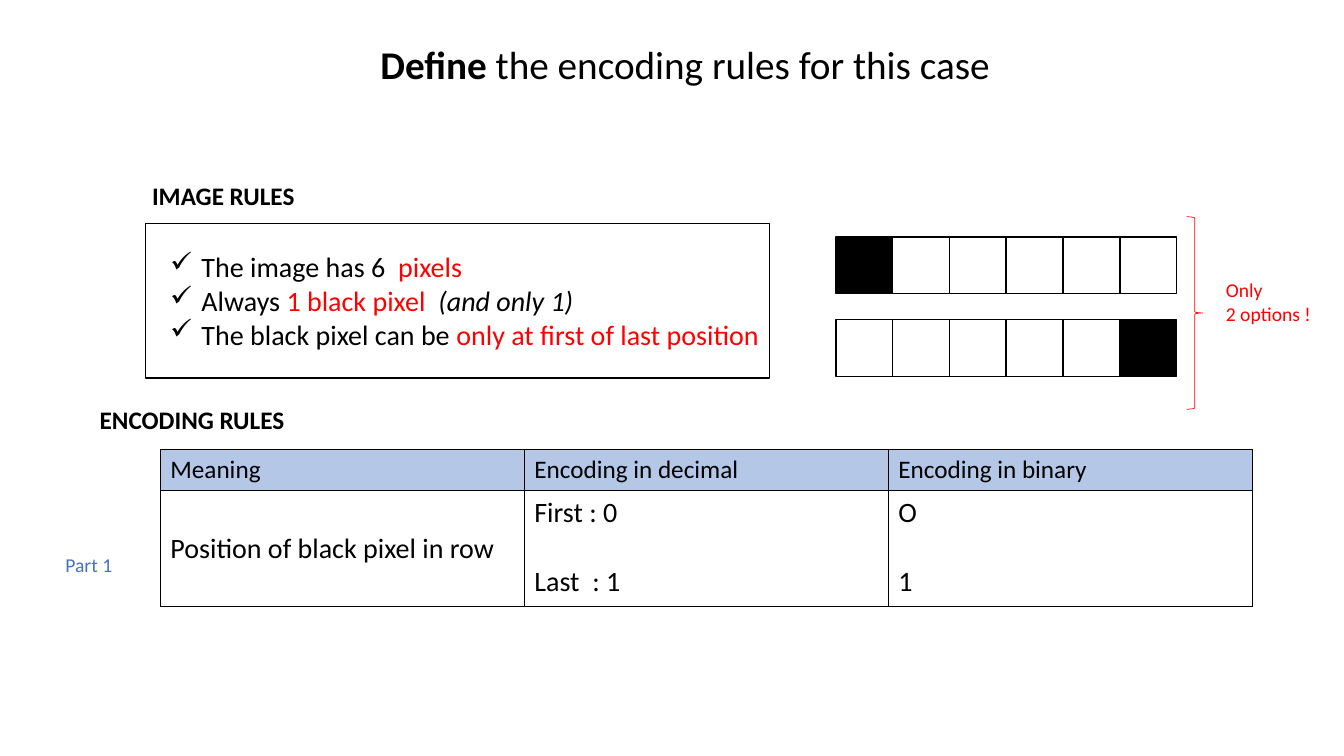
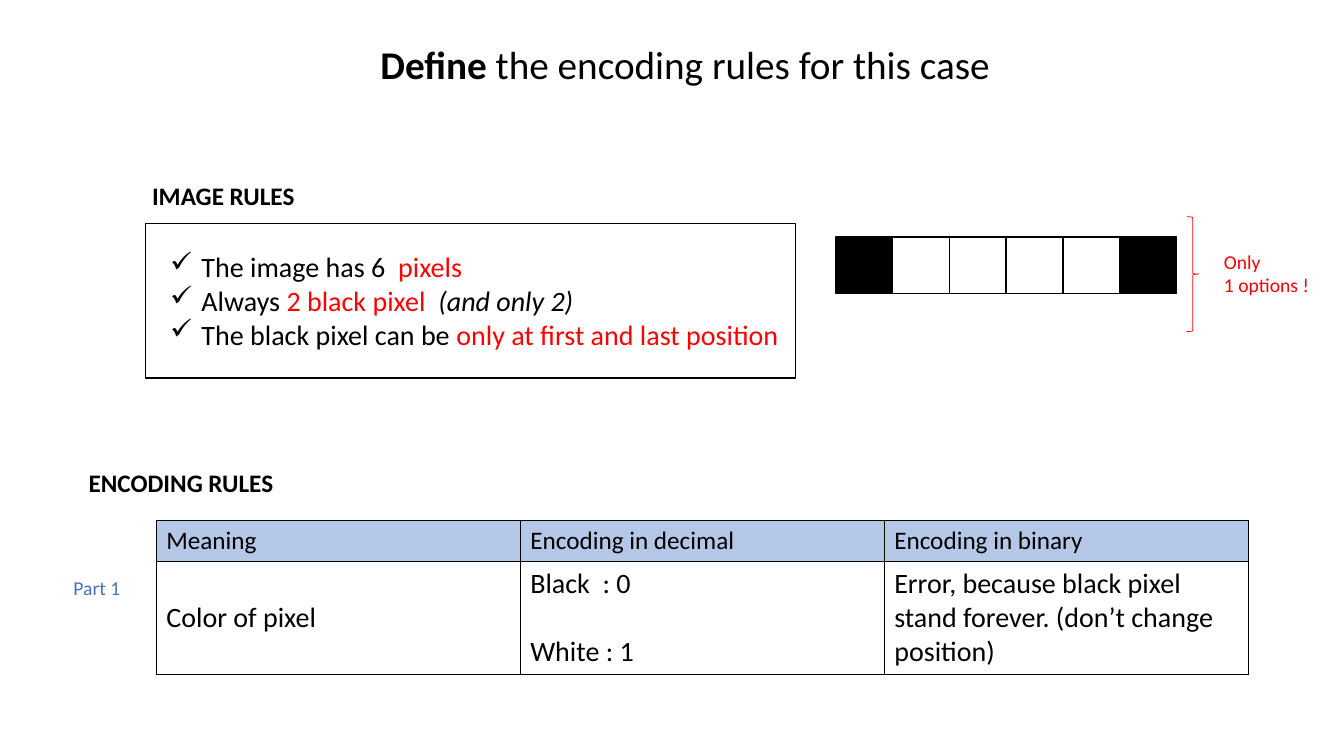
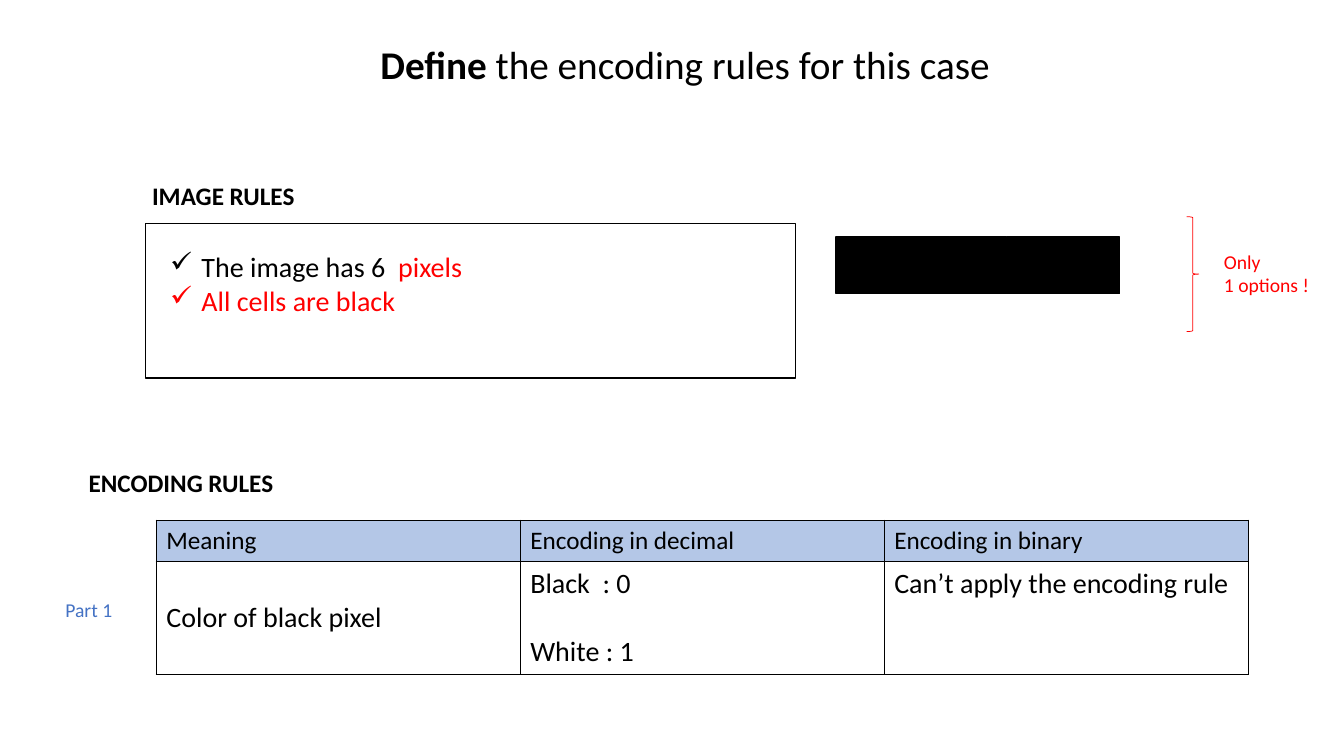
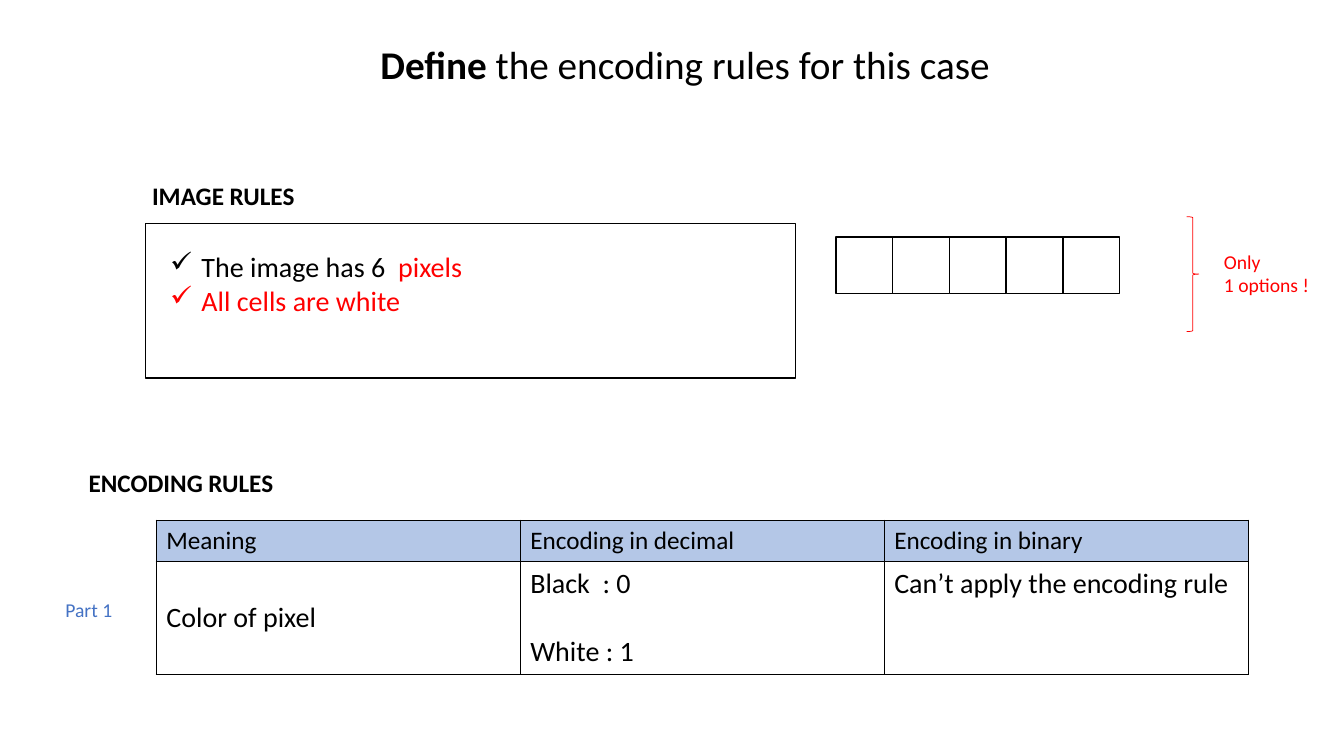
from dataclasses import dataclass

from lxml import etree
from pptx import Presentation
from pptx.dml.color import RGBColor
from pptx.enum.shapes import MSO_SHAPE
from pptx.enum.text import MSO_ANCHOR, MSO_AUTO_SIZE, PP_ALIGN
from pptx.oxml.ns import qn
from pptx.util import Inches, Pt

RECTANGLE, BRACE = MSO_SHAPE.RECTANGLE, MSO_SHAPE.RIGHT_BRACE
TOP, MIDDLE = MSO_ANCHOR.TOP, MSO_ANCHOR.MIDDLE
GROW = MSO_AUTO_SIZE.SHAPE_TO_FIT_TEXT
LEFT, CENTER = PP_ALIGN.LEFT, PP_ALIGN.CENTER


@dataclass(frozen=True)
class Theme:
    font: str = "Calibri"
    black: RGBColor = RGBColor(0x00, 0x00, 0x00)
    white: RGBColor = RGBColor(0xFF, 0xFF, 0xFF)
    red: RGBColor = RGBColor(0xFF, 0x00, 0x00)
    blue: RGBColor = RGBColor(0x44, 0x72, 0xC4)
    header: RGBColor = RGBColor(0xB4, 0xC7, 0xE7)
    title: int = 28
    body: int = 20
    heading: int = 18
    note: int = 14


THEME = Theme()


def write(frame, paragraphs, *, size, color=THEME.black, bold=False,
          align=LEFT, bullet=None, gap=0):
    """Fill a frame; a paragraph is a string or a list of (text, overrides)."""
    for index, runs in enumerate(paragraphs):
        paragraph = frame.add_paragraph() if index else frame.paragraphs[0]
        paragraph.alignment = align
        if gap and index:
            paragraph.space_before = Pt(gap)
        if bullet:
            properties = paragraph._p.get_or_add_pPr()
            properties.set("marL", str(Inches(0.31)))
            properties.set("indent", str(-Inches(0.31)))
            etree.SubElement(properties, qn("a:buChar")).set("char", bullet)
        for text, override in [(runs, {})] if isinstance(runs, str) else runs:
            run = paragraph.add_run()
            run.text = text
            font = run.font
            font.name, font.size = THEME.font, Pt(size)
            font.bold = override.get("bold", bold)
            font.italic = override.get("italic", False)
            font.color.rgb = override.get("color", color)


def add_text(slide, at, paragraphs, wrap=False, **text_format):
    frame = slide.shapes.add_textbox(*map(Inches, at)).text_frame
    frame.word_wrap = wrap
    frame.auto_size = GROW
    write(frame, paragraphs, **text_format)


# Content of the four cases; in a strip, B is a black pixel and W a white one
RED = {"color": THEME.red}
ITALIC = {"italic": True}
SIX_PIXELS = [("The image has 6  ", {}), ("pixels", RED)]
CASES = [
    dict(
        rules=[SIX_PIXELS,
               [("Always ", {}), ("1 black pixel  ", RED), ("(and only 1)", ITALIC)],
               [("The black pixel can be ", {}), ("only at first of last position", RED)]],
        rules_width=6.1, box_width=6.19, strips=["BWWWWW", "WWWWWB"],
        brace=(0.16, 1.91), options="2 options !", options_at=(12.06, 2.71),
        encoding_at=(0.89, 3.96), part_at=(0.55, 5.44),
        table_at=(1.59, 4.46), answer_height=1.15,
        answers=[["Position of black pixel in row"], ["First : 0", "Last  : 1"], ["O", "1"]],
    ),
    dict(
        rules=[SIX_PIXELS,
               [("Always ", {}), ("2 black pixel  ", RED), ("(and only 2)", ITALIC)],
               [("The black pixel can be ", {}), ("only at first and last position", RED)]],
        rules_width=6.3, strips=["BWWWWB"], part_at=(0.63, 5.66),
        answers=[["Color of pixel"], ["Black  : 0", "White : 1"],
                 ["Error, because black pixel stand forever. (don’t change position)"]],
    ),
    dict(
        rules=[SIX_PIXELS, [("All cells are black", RED)]],
        strips=["BBBBB"],
        answers=[["Color of black pixel"], ["Black  : 0", "White : 1"],
                 ["Can’t apply the encoding rule"]],
    ),
    dict(
        rules=[SIX_PIXELS, [("All cells are white", RED)]],
        strips=["WWWWW"],
        answers=[["Color of pixel"], ["Black  : 0", "White : 1"],
                 ["Can’t apply the encoding rule"]],
    ),
]
# Layout of a case with a single option, unless the case says otherwise
SINGLE_OPTION = dict(
    rules_width=3.13, box_width=6.45, brace=(0.12, 1.14),
    options="1 options !", options_at=(12.04, 2.43),
    encoding_at=(0.78, 4.59), part_at=(0.55, 5.88),
    table_at=(1.55, 5.16), answer_height=1.12,
)
HEADERS = ["Meaning", "Encoding in decimal", "Encoding in binary"]
HEADER_HEIGHT = 0.41
TABLE_WIDTH = 10.83
STRIP_LEFT, STRIP_TOP, STRIP_PITCH = 8.29, 2.35, 0.82
PIXEL = 3.38 / 6  # six pixels span a full strip
PIXEL_FILLS = {"B": THEME.black, "W": THEME.white}

deck = Presentation()
deck.slide_width, deck.slide_height = Inches(13.33), Inches(7.5)

for details in CASES:
    case = SINGLE_OPTION | details
    slide = deck.slides.add_slide(deck.slide_layouts[6])

    # Title and headings
    add_text(slide, (3, 0.35, 7.59, 0.57),
             [[("Define", {"bold": True}), (" the encoding rules for this case", {})]],
             wrap=True, size=THEME.title, align=CENTER)
    add_text(slide, (1.41, 1.74, 1.63, 0.4), ["IMAGE RULES"], size=THEME.heading, bold=True)
    add_text(slide, (*case["encoding_at"], 2.06, 0.4), ["ENCODING RULES"],
             size=THEME.heading, bold=True)
    add_text(slide, (*case["part_at"], 0.67, 0.34), ["Part 1"],
             size=THEME.note, color=THEME.blue)

    # Rules box, pixel strips and brace: place, preset, fill, line colour, line width
    outlines = [((1.44, 2.22, case["box_width"], 1.53), RECTANGLE, None, THEME.black, 1)]
    for row, strip in enumerate(case["strips"]):
        for column, pixel in enumerate(strip):
            place = (STRIP_LEFT + column * PIXEL, STRIP_TOP + row * STRIP_PITCH, PIXEL, PIXEL)
            outlines.append((place, RECTANGLE, PIXEL_FILLS[pixel], THEME.black, 1))
    outlines.append(((11.77, 2.15, *case["brace"]), BRACE, None, THEME.red, 0.5))
    for place, preset, fill, line_color, line_width in outlines:
        outline = slide.shapes.add_shape(preset, *map(Inches, place))
        outline.shadow.inherit = False
        outline.line.color.rgb = line_color
        outline.line.width = Pt(line_width)
        if fill is None:
            outline.fill.background()
        else:
            outline.fill.solid()
            outline.fill.fore_color.rgb = fill

    # Image rules and option count
    add_text(slide, (1.59, 2.43, case["rules_width"], 0.1 + 0.34 * len(case["rules"])),
             case["rules"], size=THEME.body, bullet="✓")
    add_text(slide, (*case["options_at"], 1.05, 0.57), ["Only", case["options"]],
             size=THEME.note, color=THEME.red)

    # Encoding table
    table = slide.shapes.add_table(
        2, 3, *map(Inches, (*case["table_at"], TABLE_WIDTH,
                            HEADER_HEIGHT + case["answer_height"]))).table
    table.first_row = table.horz_banding = False
    table.rows[0].height = Inches(HEADER_HEIGHT)
    table.rows[1].height = Inches(case["answer_height"])
    for column, (header, answer) in enumerate(zip(HEADERS, case["answers"])):
        header_cell, answer_cell = table.cell(0, column), table.cell(1, column)
        write(header_cell.text_frame, [header], size=THEME.heading)
        write(answer_cell.text_frame, answer, size=THEME.body, gap=24.4)
        answer_cell.vertical_anchor = TOP if column else MIDDLE
        for cell in (header_cell, answer_cell):
            properties = cell._tc.get_or_add_tcPr()
            for side in ("a:lnL", "a:lnR", "a:lnT", "a:lnB"):
                border = etree.SubElement(properties, qn(side), w=str(Pt(1)))
                ink = etree.SubElement(border, qn("a:solidFill"))
                etree.SubElement(ink, qn("a:srgbClr"), val=str(THEME.black))
        header_cell.fill.solid()
        header_cell.fill.fore_color.rgb = THEME.header
        answer_cell.fill.background()

deck.save("out.pptx")
